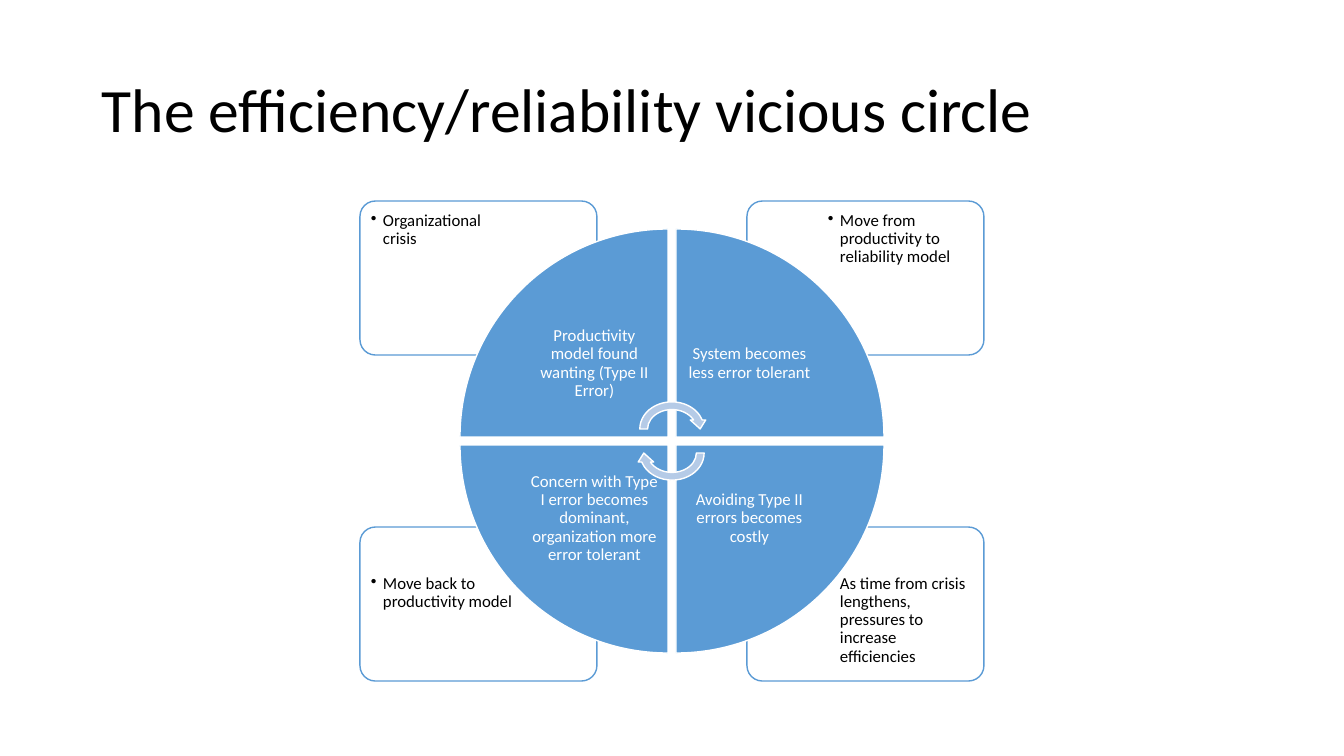
from lxml import etree
from pptx import Presentation
from pptx.dml.color import RGBColor
from pptx.enum.shapes import MSO_SHAPE
from pptx.enum.text import MSO_ANCHOR, PP_ALIGN
from pptx.oxml.ns import qn
from pptx.util import Emu, Pt

CARD = MSO_SHAPE.ROUNDED_RECTANGLE
WEDGE = MSO_SHAPE.PIE_WEDGE
ARROW = MSO_SHAPE.CIRCULAR_ARROW
TOP, MIDDLE = MSO_ANCHOR.TOP, MSO_ANCHOR.MIDDLE
LEFT, CENTER = PP_ALIGN.LEFT, PP_ALIGN.CENTER

TITLE = "The efficiency/reliability vicious circle"
# side (x, y), turn of the wedge, wedge text, card text; clockwise
STEPS = [
    (-1, -1, 0, "Productivity model found wanting (Type II Error)",
     "Organizational crisis"),
    (1, -1, 90, "System becomes less error tolerant",
     "Move from productivity to reliability model"),
    (1, 1, 180, "Avoiding Type II errors becomes costly",
     "As time from crisis lengthens, pressures to increase efficiencies"),
    (-1, 1, 270, "Concern with Type I error becomes dominant, "
     "organization more error tolerant", "Move back to productivity model"),
]
FONT = "Calibri"
BLACK, WHITE, BLUE, PALE = "000000", "FFFFFF", "5B9BD5", "B5CBE7"
MID_X, MID_Y = 672, 441

# gap from the middle (x, y), then width and height, in px
CARD_BOX = (75, 86, 237, 154)
NOTE_BOX = (149, 127, 159, 109)
WEDGE_BOX = (4, 4, 208, 208)
LABEL_BOX = (4, 4, 147, 147)


def px(num):
    return Emu(round(num * 914400 / 100.8))


def color(code):
    return RGBColor.from_string(code)


def place(side_x, side_y, box):
    """Mirror a box into one quarter around the middle."""
    gap_x, gap_y, wide, high = box
    left = MID_X + (gap_x if side_x > 0 else -gap_x - wide)
    top = MID_Y + (gap_y if side_y > 0 else -gap_y - high)
    return left, top, wide, high


def draw(kind, box, fill, line, turn=0):
    shape = slide.shapes.add_shape(kind, *map(px, box))
    shape.shadow.inherit = False
    shape.fill.solid()
    shape.fill.fore_color.rgb = color(fill)
    shape.line.color.rgb = color(line)
    shape.line.width = Pt(1)
    shape.rotation = turn
    return shape


def write(box, text, size, ink, inset, align=LEFT, anchor=MIDDLE):
    frame = slide.shapes.add_textbox(*map(px, box)).text_frame
    frame.word_wrap = True
    frame.vertical_anchor = anchor
    frame.margin_left = frame.margin_right = px(inset[0])
    frame.margin_top = frame.margin_bottom = px(inset[1])
    para = frame.paragraphs[0]
    para.alignment = align
    para.line_spacing = 0.9
    run = para.add_run()
    run.text = text
    run.font.name = FONT
    run.font.size = Pt(size)
    run.font.color.rgb = color(ink)
    return para


def bullet(para):
    props = para._p.get_or_add_pPr()
    props.set("marL", str(px(12)))
    props.set("indent", str(-px(12)))
    etree.SubElement(props, qn("a:buChar")).set("char", "•")


def fade(shape, share):
    """Set the opacity of the fill in percent."""
    tone = shape._element.spPr.find(qn("a:solidFill"))[0]
    etree.SubElement(tone, qn("a:alpha")).set("val", str(share * 1000))


deck = Presentation()
deck.slide_width, deck.slide_height = px(1344), px(756)
slide = deck.slides.add_slide(deck.slide_layouts[6])

write((92, 40, 1159, 146), TITLE, 44, BLACK, (10, 5))

for x, y, turn, label, note in reversed(STEPS):
    card = draw(CARD, place(x, y, CARD_BOX), WHITE, BLUE)
    card.adjustments[0] = 0.1
    fade(card, 90)
    bullet(write(place(x, y, NOTE_BOX), note, 12, BLACK, (7, 7), anchor=TOP))

for x, y, turn, label, note in STEPS:
    draw(WEDGE, place(x, y, WEDGE_BOX), BLUE, WHITE, turn)
    write(place(x, y, LABEL_BOX), label, 12, WHITE, (9, 9), CENTER)

for top, turn in ((398, 0), (422, 180)):
    draw(ARROW, (MID_X - 36, top, 72, 62), PALE, WHITE, turn)

deck.save("out.pptx")
